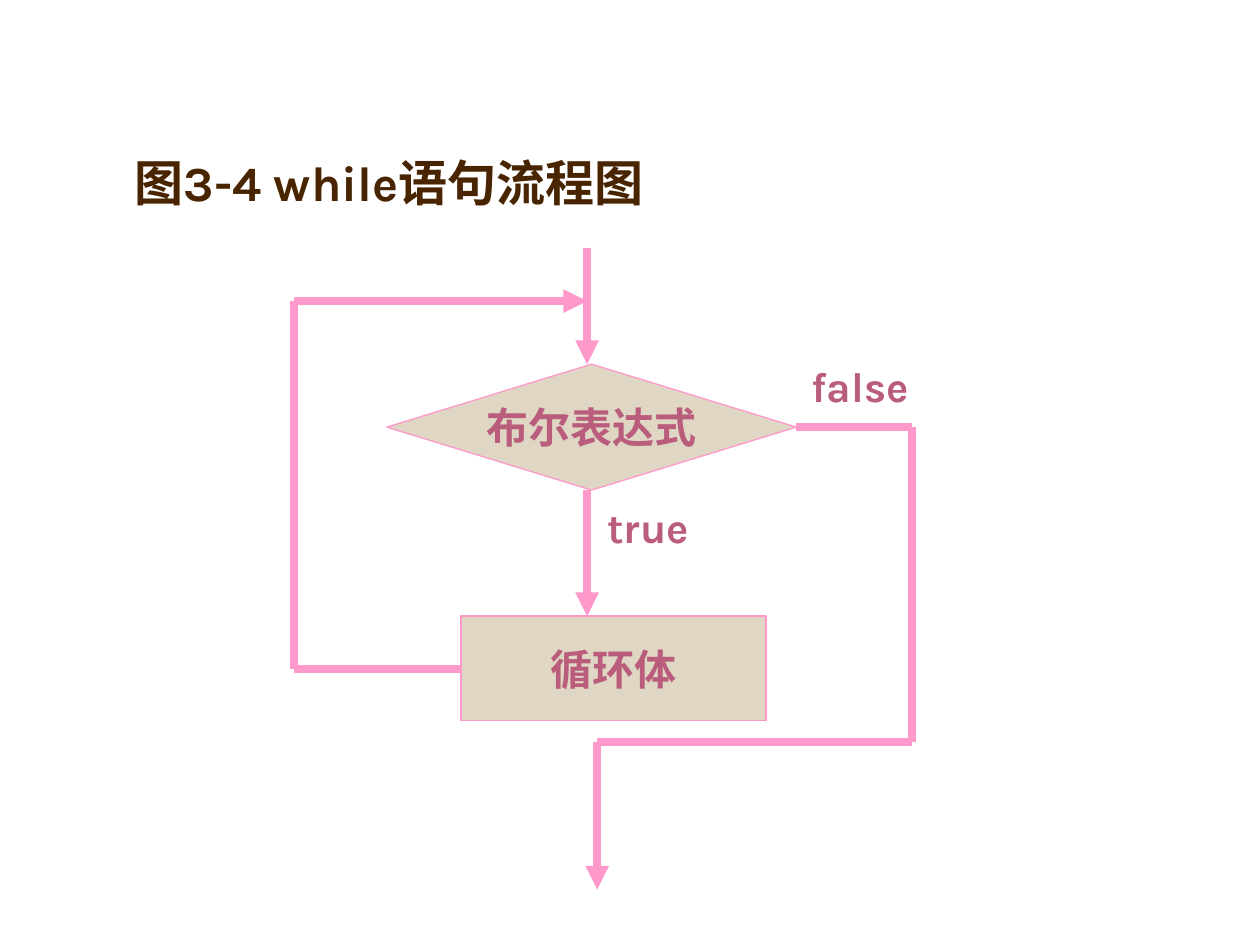
from lxml import etree
from pptx import Presentation
from pptx.dml.color import RGBColor
from pptx.enum.shapes import MSO_CONNECTOR, MSO_SHAPE
from pptx.enum.text import MSO_ANCHOR, MSO_AUTO_SIZE, PP_ALIGN
from pptx.oxml.ns import qn
from pptx.util import Inches, Pt

PINK = RGBColor(0xFF, 0x99, 0xCC)
SAND = RGBColor(0xDF, 0xD6, 0xC3)
ROSE = RGBColor(0xBA, 0x5C, 0x7B)
BROWN = RGBColor(0x48, 0x24, 0x00)


def write_text(shape, text, font_format, alignment=PP_ALIGN.LEFT):
    shape.text_frame.text = text
    paragraph = shape.text_frame.paragraphs[0]
    paragraph.alignment = alignment
    for name, value in font_format.items():
        if name == "color":
            paragraph.runs[0].font.color.rgb = value
        else:
            setattr(paragraph.runs[0].font, name, value)


def add_flow_line(slide, start, end, arrow=False):
    line = slide.shapes.add_connector(
        MSO_CONNECTOR.STRAIGHT, *[Inches(value) for value in start + end]
    )
    line.line.color.rgb = PINK
    line.line.width = Pt(4.5)
    if arrow:
        etree.SubElement(line.line._get_or_add_ln(), qn("a:tailEnd"), type="triangle")
    etree.SubElement(line._element.spPr, qn("a:effectLst"))


presentation = Presentation()
presentation.slide_width = Inches(10)
presentation.slide_height = Inches(7.5)
slide = presentation.slides.add_slide(presentation.slide_layouts[5])

# Flowchart steps
step_format = {"name": "Times New Roman", "size": Pt(24), "bold": True, "color": ROSE}
steps = [
    (MSO_SHAPE.FLOWCHART_DECISION, "布尔表达式", 3.07, 2.89, 3.25, 1),
    (MSO_SHAPE.RECTANGLE, "循环体", 3.66, 4.89, 2.42, 0.83),
]
for kind, text, *box in steps:
    step = slide.shapes.add_shape(kind, *[Inches(value) for value in box])
    step.shadow.inherit = False
    step.fill.solid()
    step.fill.fore_color.rgb = SAND
    step.line.color.rgb = PINK
    step.line.width = Pt(0.75)
    step.text_frame.word_wrap = False
    step.text_frame.vertical_anchor = MSO_ANCHOR.MIDDLE
    write_text(step, text, step_format, PP_ALIGN.CENTER)

# Each route is a chain of corners; its last stretch may carry the arrowhead
routes = [
    ([(4.66, 1.97), (4.66, 2.89)], True),  # entry
    ([(4.66, 3.89), (4.66, 4.89)], True),  # true branch
    ([(3.66, 5.31), (2.33, 5.31), (2.33, 2.39), (4.66, 2.39)], True),  # loop back
    ([(6.32, 3.39), (7.24, 3.39), (7.24, 5.89), (4.74, 5.89), (4.74, 7.06)], True),  # exit
]
for corners, has_arrow in routes:
    for start, end in zip(corners, corners[1:]):
        add_flow_line(slide, start, end, has_arrow and end == corners[-1])

# Branch labels
label_format = {**step_format, "name": "Karla"}
for text, *box in [("false", 6.34, 2.81, 0.99, 0.5), ("true", 4.72, 3.93, 0.91, 0.5)]:
    label = slide.shapes.add_textbox(*[Inches(value) for value in box])
    label.text_frame.word_wrap = False
    label.text_frame.auto_size = MSO_AUTO_SIZE.SHAPE_TO_FIT_TEXT
    write_text(label, text, label_format)

title = slide.shapes.title
title.left, title.top = Inches(0.97), Inches(1.16)
title.width, title.height = Inches(5.42), Inches(0.57)
title.text_frame.auto_size = MSO_AUTO_SIZE.NONE
title.text_frame.vertical_anchor = MSO_ANCHOR.BOTTOM
write_text(title, "图3-4 while语句流程图", {**label_format, "size": Pt(28), "color": BROWN})

presentation.save("out.pptx")
